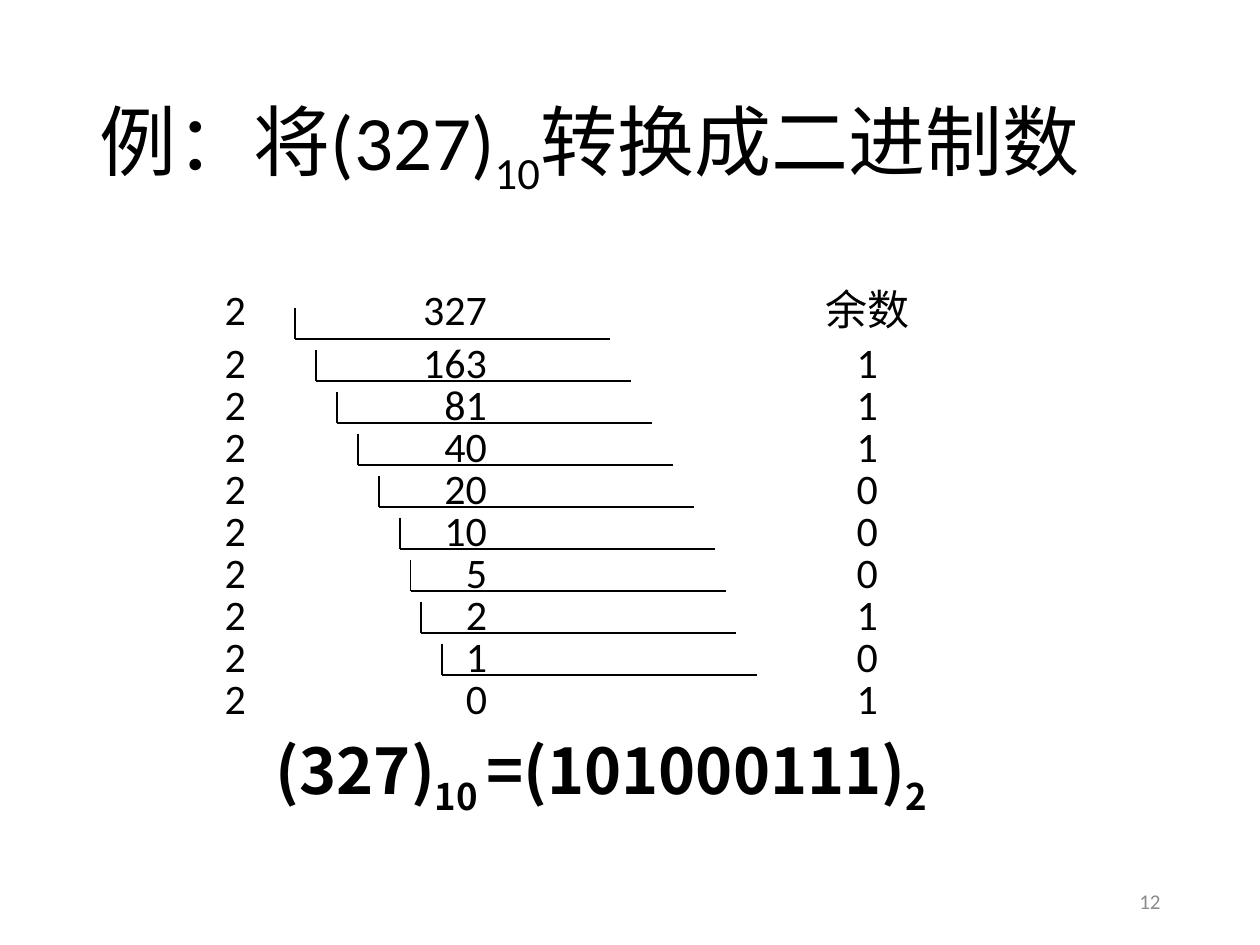
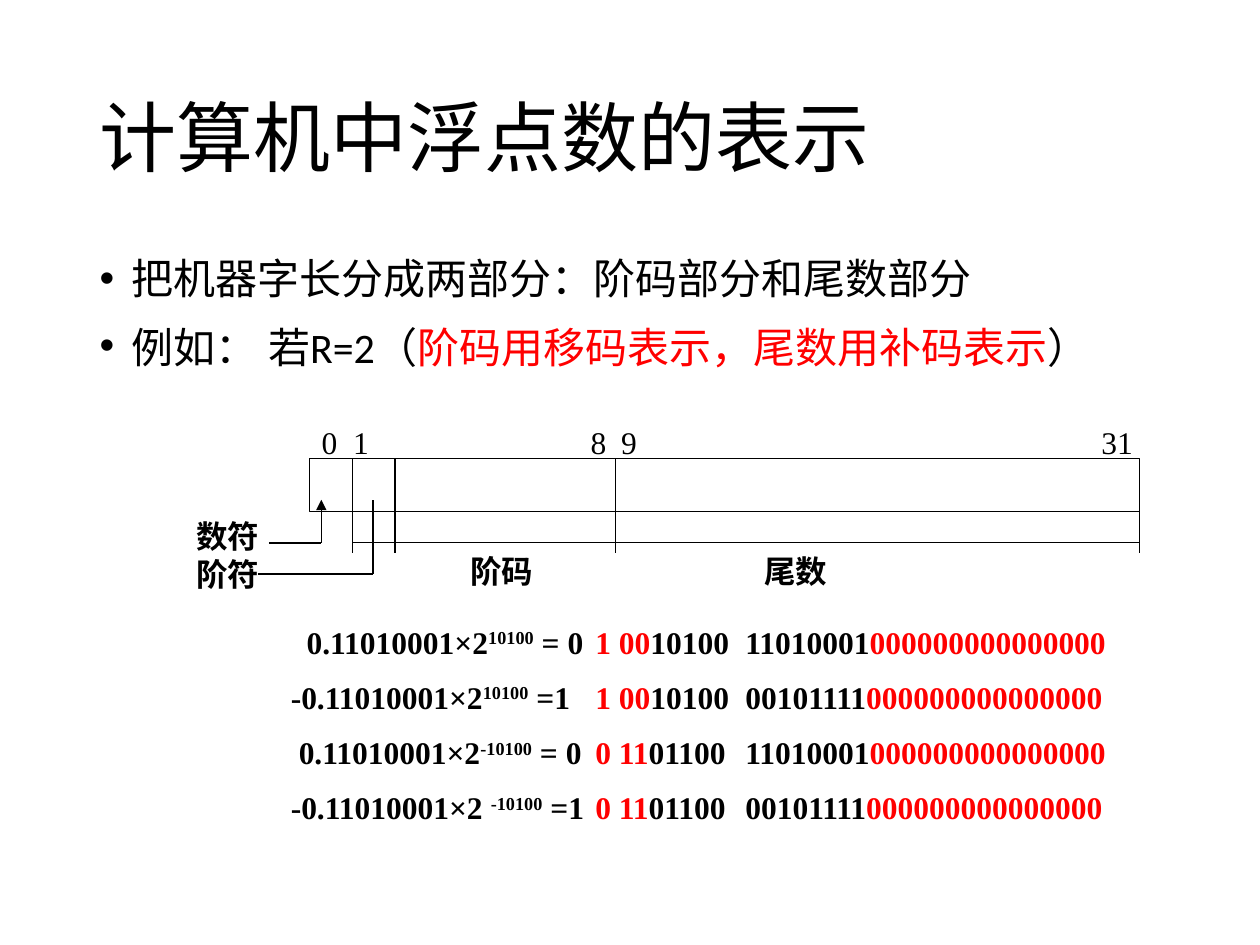
from dataclasses import dataclass
from typing import NamedTuple, Optional

from lxml.etree import SubElement
from pptx import Presentation
from pptx.dml.color import RGBColor
from pptx.enum.shapes import MSO_CONNECTOR as Link, MSO_SHAPE as Preset
from pptx.enum.text import MSO_ANCHOR as Anchor, MSO_AUTO_SIZE as Fit, PP_ALIGN as Align
from pptx.oxml.ns import qn
from pptx.util import Inches, Pt

BLACK, WHITE, RED, GREY = "000000", "FFFFFF", "FF0000", "8C8C8C"
SANS, SERIF, CHINESE = "Calibri", "Times New Roman", "Noto Sans CJK SC"
COLUMNS, ROWS = 60, 90

deck = Presentation()
deck.slide_width, deck.slide_height = Inches(10), Inches(7.5)
CONTENT_LAYOUT, TITLE_LAYOUT = deck.slide_layouts[1], deck.slide_layouts[5]


class Area(NamedTuple):
    left: float
    top: float
    width: float
    height: float


class Span(NamedTuple):
    text: str
    color: Optional[str] = None
    baseline: int = 0
    size: Optional[float] = None


class Tab(NamedTuple):
    column: float
    align: str


@dataclass
class Segment:
    x1: float
    y1: float
    x2: float
    y2: float
    width: float = 0.75
    arrow: bool = False


@dataclass
class Label:
    text: str
    area: Area
    bold: bool = True
    align: Align = Align.LEFT


@dataclass
class Equation:
    start: float
    factor: str
    exponent: str
    sign: str
    code_start: str
    code_end: str
    mantissa: str

    def spans(self) -> list[Span]:
        lead = "\t" if self.start else ""
        return [Span(lead + self.factor), Span(self.exponent, baseline=30),
                Span(f" {self.sign}\t"), Span(self.code_start, RED),
                Span(f"{self.code_end}\t{self.mantissa}"), Span("0" * 15, RED)]

    def tabs(self) -> list[Tab]:
        lead = [Tab(self.start, "l")] if self.start else []
        return lead + [Tab(14.5, "l"), Tab(21.65, "l")]


TITLE_AREA = Area(4.14, 4.8, 51.72, 17.4)


def across(columns: float) -> int:
    return round(deck.slide_width * columns / COLUMNS)


def down(rows: float) -> int:
    return round(deck.slide_height * rows / ROWS)


def color_of(value: str) -> RGBColor:
    return RGBColor.from_string(value)


def place(shape, area: Area) -> None:
    shape.left, shape.top = across(area.left), down(area.top)
    shape.width, shape.height = across(area.width), down(area.height)


def write(shape, paras: list[list[Span]], *, size: float, font: str = SANS,
          color: str = BLACK, bold: bool = False, align: Align = Align.LEFT,
          anchor: Anchor = Anchor.TOP, line_spacing: Optional[float] = None,
          space_before: float = 0, first_before: float = 0, hanging: float = 0,
          tabs: Optional[list[list[Tab]]] = None) -> None:
    frame = shape.text_frame
    frame.auto_size, frame.word_wrap, frame.vertical_anchor = Fit.NONE, True, anchor
    for index, spans in enumerate(paras):
        para = frame.add_paragraph() if index else frame.paragraphs[0]
        para.alignment, para.line_spacing = align, line_spacing
        para.space_before = Pt(space_before if index else first_before)
        props = para._p.get_or_add_pPr()
        if hanging:
            props.set("marL", str(across(hanging)))
            props.set("indent", str(-across(hanging)))
        if tabs:
            stops = SubElement(props, qn("a:tabLst"))
            for tab in tabs[index]:
                SubElement(stops, qn("a:tab"), pos=str(across(tab.column)), algn=tab.align)
        for span in spans:
            run = para.add_run()
            run.text = span.text
            run.font.size, run.font.bold = Pt(span.size or size), bold
            run.font.name = font
            run.font.color.rgb = color_of(span.color or color)
            run_props = run._r.get_or_add_rPr()
            SubElement(run_props, qn("a:ea"), typeface=CHINESE)
            if span.baseline:
                run_props.set("baseline", str(span.baseline * 1000))


def add_text(page, area: Area, paras: list[list[Span]], **style) -> None:
    box = page.shapes.add_textbox(0, 0, 0, 0)
    place(box, area)
    write(box, paras, **style)


def add_segment(page, segment: Segment) -> None:
    line = page.shapes.add_connector(
        Link.STRAIGHT, across(segment.x1), down(segment.y1),
        across(segment.x2), down(segment.y2))
    line.line.color.rgb = color_of(BLACK)
    line.line.width = Pt(segment.width)
    if segment.arrow:
        SubElement(line.line._get_or_add_ln(), qn("a:tailEnd"), type="triangle")
    SubElement(line._element.spPr, qn("a:effectLst"))


def add_page(layout, title: list[Span]):
    page = deck.slides.add_slide(layout)
    place(page.shapes.title, TITLE_AREA)
    write(page.shapes.title, [title], size=44, anchor=Anchor.MIDDLE, line_spacing=0.9)
    return page


def build_division() -> None:
    page = add_page(TITLE_LAYOUT, [Span("例：将(327)"), Span("10", baseline=-25),
                                   Span("转换成二进制数")])
    quotients = [327 >> step for step in range(10)]
    remainders = ["余数"] + [str(value % 2) for value in quotients[:-1]]
    bracket_lefts = [14.05 + shift for shift in (0, 1, 2, 3, 4, 5, 5.5, 6, 7)]
    first_line, pitch, bracket_width, bracket_height = 32.3, 4, 15, 3
    for step, (quotient, remainder) in enumerate(zip(quotients, remainders)):
        top = first_line + pitch * (step - 1) + (0.1 if step else -0.9)
        add_text(page, Area(10.1, top, 41, pitch),
                 [[Span(f"2\t{quotient}\t{remainder}")]], size=24, anchor=Anchor.MIDDLE,
                 tabs=[[Tab(12.5, "r"), Tab(30.6, "ctr")]])
    for step, left in enumerate(bracket_lefts):
        bottom = first_line + pitch * step
        add_segment(page, Segment(left, bottom, left + bracket_width, bottom))
        add_segment(page, Segment(left, bottom - bracket_height, left, bottom))
    add_text(page, Area(12.54, 70.3, 41, 7),
             [[Span("(327)"), Span("10 ", baseline=-25), Span("=(101000111)"),
               Span("2", baseline=-25)]],
             size=36, font=CHINESE, bold=True, anchor=Anchor.MIDDLE)
    add_text(page, Area(42.36, 83.4, 13.5, 4.8), [[Span("12")]], size=12, color=GREY,
             align=Align.RIGHT, anchor=Anchor.MIDDLE)


def build_floating_point() -> None:
    page = add_page(CONTENT_LAYOUT, [Span("计算机中浮点数的表示")])
    body = page.placeholders[1]
    place(body, Area(4.14, 24, 51.72, 57.1))
    write(body, [[Span("把机器字长分成两部分：阶码部分和尾数部分")],
                 [Span("例如："), Span(" ", size=28), Span("若R=2（"),
                  Span("阶码用移码表示，尾数用补码表示", RED), Span("）")]],
          size=24, line_spacing=0.9, space_before=10, first_before=10, hanging=1.5)

    word = Area(14.75, 43.7, 39.5, 5)
    word_bottom, word_right = word.top + word.height, word.left + word.width
    exponent_left, mantissa_left, sign_right = 16.8, 29.3, 18.8
    brace, brace_bottom, pointer_top = 51.7, 52.7, 47.6
    register = page.shapes.add_shape(Preset.RECTANGLE, 0, 0, 0, 0)
    place(register, word)
    register.shadow.inherit = False
    register.fill.solid()
    register.fill.fore_color.rgb = color_of(WHITE)
    register.line.color.rgb = color_of(BLACK)
    register.line.width = Pt(0.75)

    segments = [Segment(left, word.top, left, brace_bottom)
                for left in (exponent_left, mantissa_left)]
    segments += [
        Segment(word_right, word_bottom, word_right, brace_bottom),
        Segment(exponent_left, brace, word_right, brace),
        Segment(sign_right, word.top, sign_right, brace_bottom, 1),
        Segment(12.8, brace, 15.3, brace, 1),
        Segment(15.3, brace, 15.3, pointer_top, arrow=True),
        Segment(12.3, 54.7, 17.75, 54.7, 1),
        Segment(17.75, 54.7, 17.75, pointer_top, 1),
    ]
    for segment in segments:
        add_segment(page, segment)

    bit_centres = {"0": 15.7, "1": 17.2, "8": 28.5, "9": 29.95, "31": 53.2}
    labels = [Label(bit, Area(centre - 1.5, 39.7, 3, 4.8), False, Align.CENTER)
              for bit, centre in bit_centres.items()]
    labels += [Label("数符 阶符", Area(8.76, 48.7, 4.5, 8.4)),
               Label("阶码", Area(21.8, 52, 6, 4.8)),
               Label("尾数", Area(35.8, 52, 12, 4.8))]
    for label in labels:
        add_text(page, label.area, [[Span(label.text)]], size=18, font=SERIF,
                 bold=label.bold, align=label.align)

    equations = [
        Equation(0.75, "0.11010001×2", "10100", "= 0", "1 00", "10100", "11010001"),
        Equation(0, "-0.11010001×2", "10100", "=1", "1 00", "10100", "00101111"),
        Equation(0.38, "0.11010001×2", "-10100", "= 0", "0 11", "01100", "11010001"),
        Equation(0, "-0.11010001×2 ", "-10100", "=1", "0 11", "01100", "00101111"),
    ]
    add_text(page, Area(13.26, 58.7, 42, 21.1), [item.spans() for item in equations],
             size=18, font=SERIF, bold=True, space_before=10,
             tabs=[item.tabs() for item in equations])


build_division()
build_floating_point()
deck.save("out.pptx")
